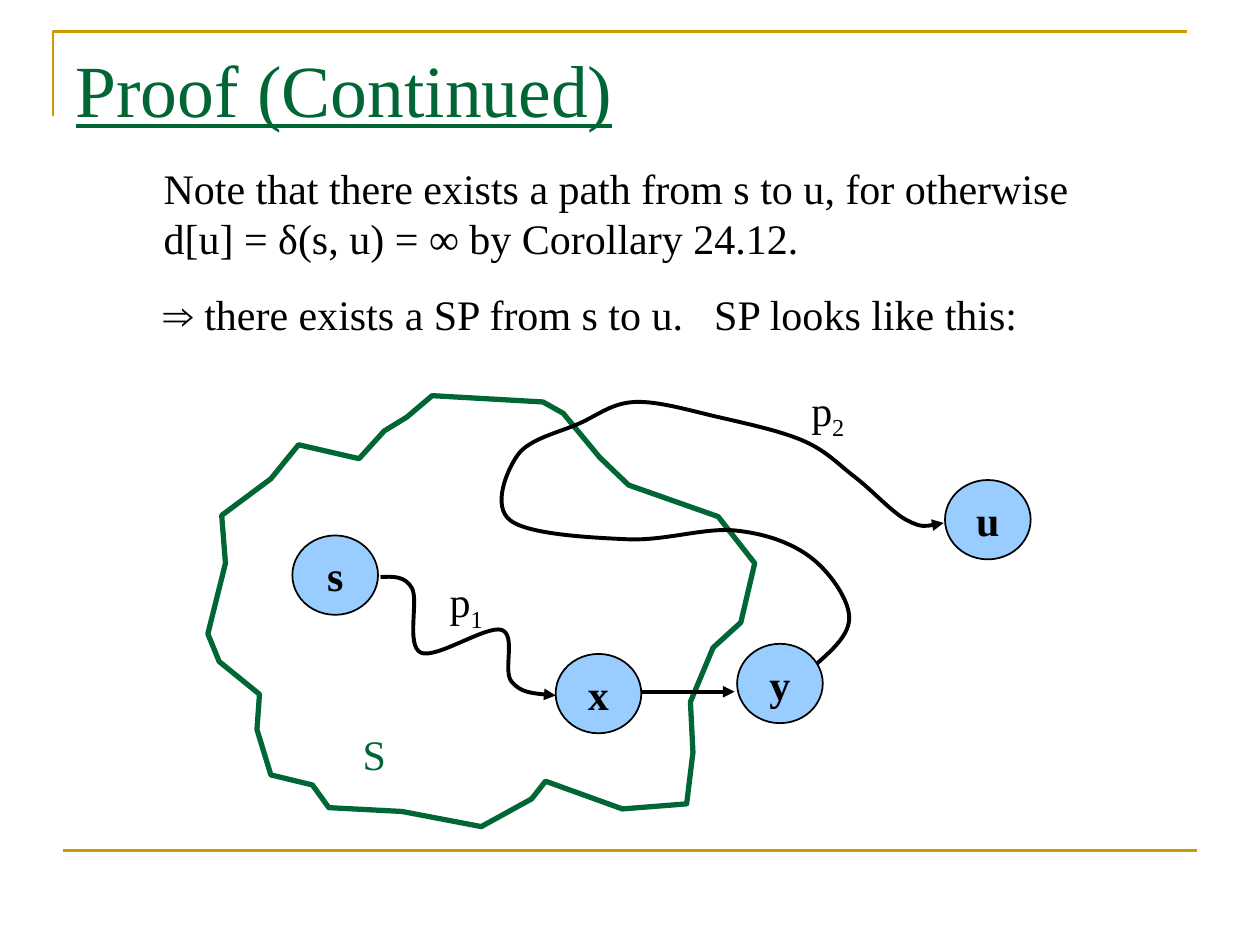
from dataclasses import dataclass

from lxml import etree
from pptx import Presentation
from pptx.dml.color import RGBColor
from pptx.enum import shapes, text
from pptx.oxml.ns import qn
from pptx.util import Inches, Pt


@dataclass(frozen=True)
class Theme:
    font: str = "Times New Roman"
    gold: RGBColor = RGBColor(0xCC, 0x99, 0x00)
    green: RGBColor = RGBColor(0x00, 0x66, 0x33)
    blue: RGBColor = RGBColor(0x99, 0xCC, 0xFF)
    black: RGBColor = RGBColor(0, 0, 0)
    title: int = 42
    body: int = 24


theme = Theme()


def write(para, words, color=theme.black, size=theme.body):
    run = para.add_run()
    run.text = words
    run.font.name = theme.font
    run.font.size = Pt(size)
    run.font.color.rgb = color
    return run


def stroke(shape, color, width, arrow=False):
    """Style an outline, drop its shadow and add an arrowhead if asked."""
    shape.line.color.rgb = color
    shape.line.width = Pt(width)
    if arrow:
        etree.SubElement(shape.line._get_or_add_ln(), qn("a:tailEnd"), type="triangle")
    props = shape._element.spPr
    if props.find(qn("a:effectLst")) is None:
        etree.SubElement(props, qn("a:effectLst"))


prs = Presentation()
prs.slide_width, prs.slide_height = Inches(10), Inches(7.5)
slide = prs.slides.add_slide(prs.slide_layouts[5])
tree = slide.shapes

# Title
title = tree.title
title.left, title.top = Inches(0.5), Inches(0.3)
title.width, title.height = Inches(9), Inches(1.25)
title.text_frame.vertical_anchor = text.MSO_ANCHOR.TOP
para = title.text_frame.paragraphs[0]
para.alignment = text.PP_ALIGN.LEFT
write(para, "Proof (Continued)", theme.green, theme.title).font.underline = True

# Frame, region S and the two curved paths
frame = [(0.42, 0.92), (0.42, 0.25), (9.42, 0.25)]
region = [
    (3.05, 3.42), (2.85, 3.64), (2.37, 3.53), (2.15, 3.8), (1.76, 4.09),
    (1.79, 4.47), (1.65, 5.03), (1.74, 5.25), (2.06, 5.51), (2.04, 5.79),
    (2.15, 6.15), (2.48, 6.23), (2.61, 6.41), (3.19, 6.44), (3.82, 6.56),
    (4.22, 6.34), (4.33, 6.2), (4.94, 6.42), (5.45, 6.38), (5.5, 5.97),
    (5.48, 5.57), (5.66, 5.14), (5.88, 4.94), (5.99, 4.47), (5.7, 4.1),
    (4.99, 3.85), (4.76, 3.63), (4.47, 3.28), (4.31, 3.19), (3.43, 3.14),
    (3.23, 3.31),
]
path_one = [(3.02, 4.58), (3.27, 4.67), (3.34, 5.18), (3.98, 5), (4.06, 5.41), (4.41, 5.52)]
path_two = [
    (6.48, 5.27), (6.74, 4.89), (6.43, 4.42), (5.83, 4.21), (4.98, 4.28),
    (4.05, 4.13), (4.11, 3.61), (4.6, 3.36), (5.04, 3.19), (5.7, 3.31),
    (6.38, 3.5), (6.79, 3.79), (7.2, 4.13), (7.49, 4.15),
]
for points, color, width, closed, curved in [
    (frame, theme.gold, 1.5, False, False),
    (region, theme.green, 3, True, False),
    (path_one, theme.black, 2.25, False, True),
    (path_two, theme.black, 2.25, False, True),
]:
    spots = [(Inches(x), Inches(y)) for x, y in points]
    pen = tree.build_freeform(*spots[0])
    pen.add_line_segments(spots[1:], close=closed)
    shape = pen.convert_to_shape()
    shape.fill.background()
    stroke(shape, color, width, arrow=curved)
    if not curved:
        continue
    # Each inner point's handles run parallel to the line between its neighbours
    left, top = (min(axis) for axis in zip(*spots))
    knots = [(x - left, y - top) for x, y in spots]
    last = len(knots) - 1
    for i, edge in enumerate(shape._element.xpath(".//a:lnTo")):
        start, end = knots[i], knots[i + 1]
        if i > 0:
            out = [s + (e - p) / 6 for p, s, e in zip(knots[i - 1], start, end)]
        if i + 1 < last:
            back = [e - (n - s) / 6 for s, e, n in zip(start, end, knots[i + 2])]
        else:
            back = [(o + e) / 2 for o, e in zip(out, end)]
        if i == 0:
            out = [(s + b) / 2 for s, b in zip(start, back)]
        bend = etree.Element(qn("a:cubicBezTo"))
        for x, y in (out, back, end):
            etree.SubElement(bend, qn("a:pt"), x=str(round(x)), y=str(round(y)))
        edge.getparent().replace(edge, bend)

# Straight lines: footer rule and the edge from x to y
for x1, x2, y, color, width, arrow in [
    (0.5, 9.5, 6.75, theme.gold, 1.5, False),
    (5.09, 5.83, 5.49, theme.black, 2.25, True),
]:
    line = tree.add_connector(
        shapes.MSO_CONNECTOR.STRAIGHT, Inches(x1), Inches(y), Inches(x2), Inches(y)
    )
    stroke(line, color, width, arrow)

# Nodes
for name, x, y in [("x", 4.41, 5.19), ("s", 2.32, 4.25), ("y", 5.85, 5.11), ("u", 7.5, 3.81)]:
    node = tree.add_shape(
        shapes.MSO_SHAPE.OVAL, Inches(x), Inches(y), Inches(0.68), Inches(0.63)
    )
    node.fill.solid()
    node.fill.fore_color.rgb = theme.blue
    stroke(node, theme.black, 1)
    node.text_frame.word_wrap = False
    node.text_frame.vertical_anchor = text.MSO_ANCHOR.MIDDLE
    para = node.text_frame.paragraphs[0]
    para.alignment = text.PP_ALIGN.CENTER
    write(para, name).font.bold = True

# Labels, each with an optional subscript
for name, sub, x, y, width, color in [
    ("S", "", 2.78, 5.73, 0.39, theme.green),
    ("p", "1", 3.47, 4.52, 0.48, theme.black),
    ("p", "2", 6.34, 3, 0.48, theme.black),
]:
    label = tree.add_textbox(Inches(x), Inches(y), Inches(width), Inches(0.5))
    label.text_frame.word_wrap = False
    para = label.text_frame.paragraphs[0]
    write(para, name, color)
    if sub:
        write(para, sub, color)._r.get_or_add_rPr().set("baseline", "-25000")

# Argument
note = tree.add_textbox(Inches(1.2), Inches(1.24), Inches(7.46), Inches(1.5)).text_frame
note.word_wrap = False
for i, words in enumerate([
    "Note that there exists a path from s to u, for otherwise",
    "d[u] = δ(s, u) = ∞ by Corollary 24.12.",
    "⇒ there exists a SP from s to u.\tSP looks like this:",
]):
    para = note.add_paragraph() if i else note.paragraphs[0]
    if "\t" in words:
        para.space_before = Pt(14.4)
        tabs = etree.SubElement(para._p.get_or_add_pPr(), qn("a:tabLst"))
        etree.SubElement(tabs, qn("a:tab"), pos=str(Inches(4.37)), algn="l")
    write(para, words)

prs.save("out.pptx")
